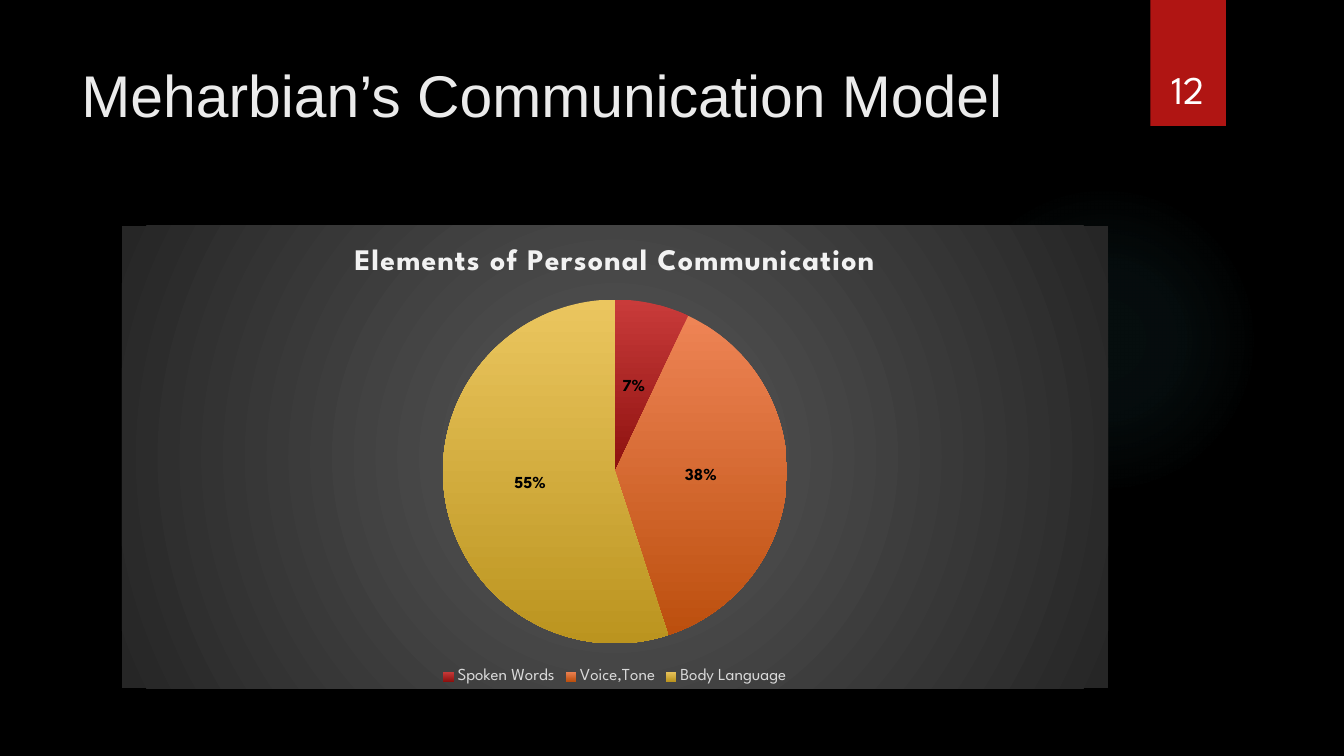
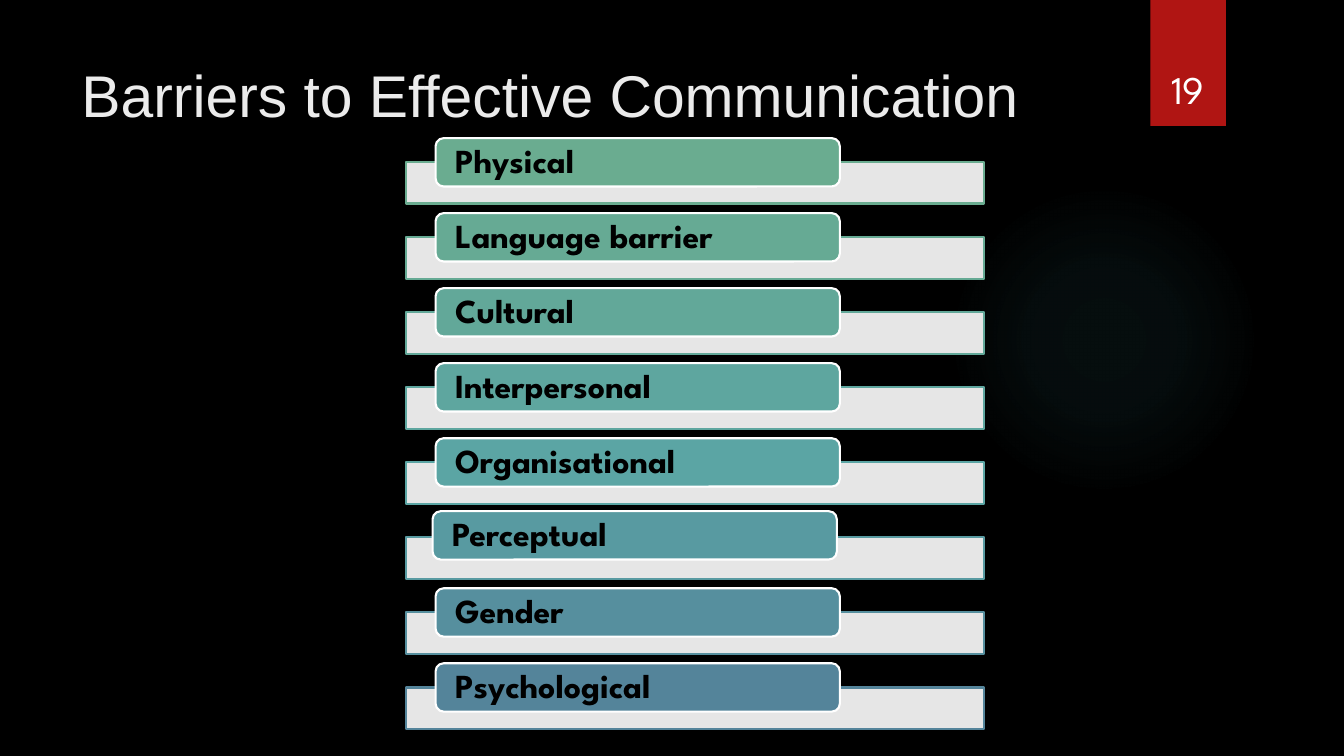
import dataclasses
import typing

import lxml.etree
import pptx
import pptx.chart.data
import pptx.dml.color
import pptx.enum.chart
import pptx.enum.shapes
import pptx.enum.text
import pptx.oxml
import pptx.oxml.ns
import pptx.shapes.autoshape
import pptx.slide
import pptx.text.text
import pptx.util

Inches = pptx.util.Inches
Anchor = pptx.enum.text.MSO_ANCHOR
Align = pptx.enum.text.PP_ALIGN
Kind = pptx.enum.shapes.MSO_SHAPE
Place = pptx.enum.chart
qn = pptx.oxml.ns.qn


@dataclasses.dataclass(frozen=True)
class Type:
    size: float
    color: str
    face: str = "League Spartan"
    bold: bool = False


@dataclasses.dataclass(frozen=True)
class Theme:
    back: str = "000000"
    ribbon: str = "B01513"
    glow: str = "50B9C1"
    white: str = "FFFFFF"
    panel: tuple[str, str] = ("595959", "262626")
    title: Type = Type(42, "EBEBEB", "Arial")
    number: Type = Type(28, "FFFFFF")
    pill: Type = Type(24, "000000", bold=True)
    chart: Type = Type(10, "FFFFFF")
    head: Type = Type(21.3, "F2F2F2", bold=True)
    legend: Type = Type(12, "D9D9D9")
    label: Type = Type(12, "000000", bold=True)


class Box(typing.NamedTuple):
    left: float
    top: float
    width: float
    height: float

    def lengths(self) -> list[pptx.util.Length]:
        return [Inches(side) for side in self]


class Stop(typing.NamedTuple):
    pos: int
    color: str
    alpha: int = 100


class Slice(typing.NamedTuple):
    name: str
    value: int
    light: str
    dark: str


class Barrier(typing.NamedTuple):
    name: str
    color: str
    shift: tuple[float, float] = (0, 0)


THEME = Theme()
SLICES = [
    Slice("Spoken Words", 7, "C93B3A", "8D110F"),
    Slice("Voice,Tone", 38, "EE8455", "BC4F0E"),
    Slice("Body Language", 55, "EBC65F", "BB941F"),
]
BARRIERS = [
    Barrier("Physical", "6AAC90"),
    Barrier("Language barrier", "66AA94"),
    Barrier("Cultural", "62A899"),
    Barrier("Interpersonal", "5EA69F"),
    Barrier("Organisational", "5BA5A4"),
    Barrier("Perceptual", "589AA1", (-0.03, -0.02)),
    Barrier("Gender", "568F9E"),
    Barrier("Psychological", "54849A"),
]


def rgb(code: str) -> pptx.dml.color.RGBColor:
    return pptx.dml.color.RGBColor.from_string(code)


def style(font: pptx.text.text.Font, kind: Type) -> None:
    font.name = kind.face
    font.size = pptx.util.Pt(kind.size)
    font.bold = kind.bold
    font.color.rgb = rgb(kind.color)


def radial(stops: list[Stop]) -> str:
    """Return the XML of a gradient that spreads from the centre."""
    marks = "".join(
        f'<a:gs pos="{stop.pos * 1000}"><a:srgbClr val="{stop.color}">'
        f'<a:alpha val="{stop.alpha * 1000}"/></a:srgbClr></a:gs>'
        for stop in stops
    )
    return (
        f'<a:gradFill {pptx.oxml.ns.nsdecls("a")} rotWithShape="1">'
        f'<a:gsLst>{marks}</a:gsLst><a:path path="circle">'
        '<a:fillToRect l="50000" t="50000" r="50000" b="50000"/>'
        "</a:path></a:gradFill>"
    )


def write(frame: pptx.text.text.TextFrame, text: str, kind: Type,
          anchor: Anchor, align: Align = Align.LEFT) -> None:
    frame.word_wrap = True
    frame.vertical_anchor = anchor
    line = frame.paragraphs[0]
    line.alignment = align
    run = line.add_run()
    run.text = text
    style(run.font, kind)


def draw(slide: pptx.slide.Slide, kind: Kind, box: Box, fill: str,
         edge: str | None = None) -> pptx.shapes.autoshape.Shape:
    shape = slide.shapes.add_shape(kind, *box.lengths())
    shape.shadow.inherit = False
    shape.fill.solid()
    shape.fill.fore_color.rgb = rgb(fill)
    if edge:
        shape.line.color.rgb = rgb(edge)
        shape.line.width = pptx.util.Pt(1.5)
    else:
        shape.line.fill.background()
    return shape


def start(deck: pptx.presentation.Presentation, title: str,
          number: int) -> pptx.slide.Slide:
    """Add a slide with the glow, ribbon, title and number."""
    slide = deck.slides.add_slide(deck.slide_layouts[6])
    slide.background.fill.solid()
    slide.background.fill.fore_color.rgb = rgb(THEME.back)

    glow = draw(slide, Kind.OVAL, Box(9.41, 1.83, 3.08, 3.08), THEME.glow)
    props = glow.element.spPr
    stops = [Stop(0, THEME.glow, 7), Stop(36, THEME.glow, 6), Stop(69, THEME.glow, 0)]
    props.replace(props.find(qn("a:solidFill")), pptx.oxml.parse_xml(radial(stops)))

    draw(slide, Kind.RECTANGLE, Box(11.41, 0, 0.75, 1.25), THEME.ribbon)
    head = slide.shapes.add_textbox(*Box(0.71, 0.51, 10.29, 0.84).lengths())
    write(head.text_frame, title, THEME.title, Anchor.MIDDLE)
    count = slide.shapes.add_textbox(*Box(11.32, 0.32, 0.92, 0.84).lengths())
    write(count.text_frame, str(number), THEME.number, Anchor.BOTTOM, Align.CENTER)
    return slide


def add_pie(slide: pptx.slide.Slide, title: str, slices: list[Slice]) -> None:
    data = pptx.chart.data.CategoryChartData()
    data.categories = [part.name for part in slices]
    data.add_series(title, [part.value for part in slices])
    chart = slide.shapes.add_chart(
        Place.XL_CHART_TYPE.PIE, *Box(1.21, 2.24, 9.78, 4.59).lengths(), data
    ).chart
    style(chart.font, THEME.chart)

    inner, outer = THEME.panel
    panel = pptx.oxml.parse_xml(
        f'<c:spPr {pptx.oxml.ns.nsdecls("c", "a")}>'
        f"{radial([Stop(0, inner), Stop(100, outer)])}"
        "<a:ln><a:noFill/></a:ln></c:spPr>"
    )
    chart.element.find(qn("c:chart")).addnext(panel)

    chart.has_title = True
    write(chart.chart_title.text_frame, title, THEME.head, Anchor.MIDDLE, Align.CENTER)
    chart.chart_title.include_in_layout = False
    next(chart.element.iter(qn("a:rPr"))).set("spc", "100")

    chart.has_legend = True
    chart.legend.position = Place.XL_LEGEND_POSITION.BOTTOM
    chart.legend.include_in_layout = False
    style(chart.legend.font, THEME.legend)

    plot = chart.plots[0]
    plot.vary_by_categories = True
    plot.has_data_labels = True
    labels = plot.data_labels
    labels.show_value = False
    labels.show_percentage = True
    labels.number_format = "0%"
    labels.number_format_is_linked = False
    labels.position = Place.XL_LABEL_POSITION.CENTER
    style(labels.font, THEME.label)

    for index, part in enumerate(slices):
        look = plot.series[0].points[index].format
        look.line.fill.background()
        look.fill.gradient()
        look.fill.gradient_angle = 270
        for stop, color in zip(look.fill.gradient_stops, (part.light, part.dark)):
            stop.color.rgb = rgb(color)


def add_list(slide: pptx.slide.Slide, items: list[Barrier]) -> None:
    """Draw each barrier as a pill on a pale band, evenly spaced."""
    first, last = 1.61, 6.82
    step = (last - first) / (len(items) - 1)
    for index, item in enumerate(items):
        top = first + index * step
        band = draw(slide, Kind.RECTANGLE, Box(4.03, top, 5.73, 0.41),
                    THEME.white, item.color)
        tint = band.element.spPr.find(qn("a:solidFill"))[0]
        lxml.etree.SubElement(tint, qn("a:alpha")).set("val", "90000")

        across, down = item.shift
        spot = Box(4.32 + across, top - 0.24 + down, 4.01, 0.48)
        pill = draw(slide, Kind.ROUNDED_RECTANGLE, spot, item.color, THEME.white)
        frame = pill.text_frame
        frame.margin_left = frame.margin_right = Inches(0.17)
        frame.margin_top = frame.margin_bottom = 0
        write(frame, item.name, THEME.pill, Anchor.MIDDLE)
        frame.paragraphs[0].line_spacing = 0.9


def main() -> None:
    deck = pptx.Presentation()
    deck.slide_width, deck.slide_height = Inches(13.33), Inches(7.5)
    model = start(deck, "Meharbian’s Communication Model", 12)
    add_pie(model, "Elements of Personal Communication", SLICES)
    limits = start(deck, "Barriers to Effective Communication", 19)
    add_list(limits, BARRIERS)
    deck.save("out.pptx")


if __name__ == "__main__":
    main()
